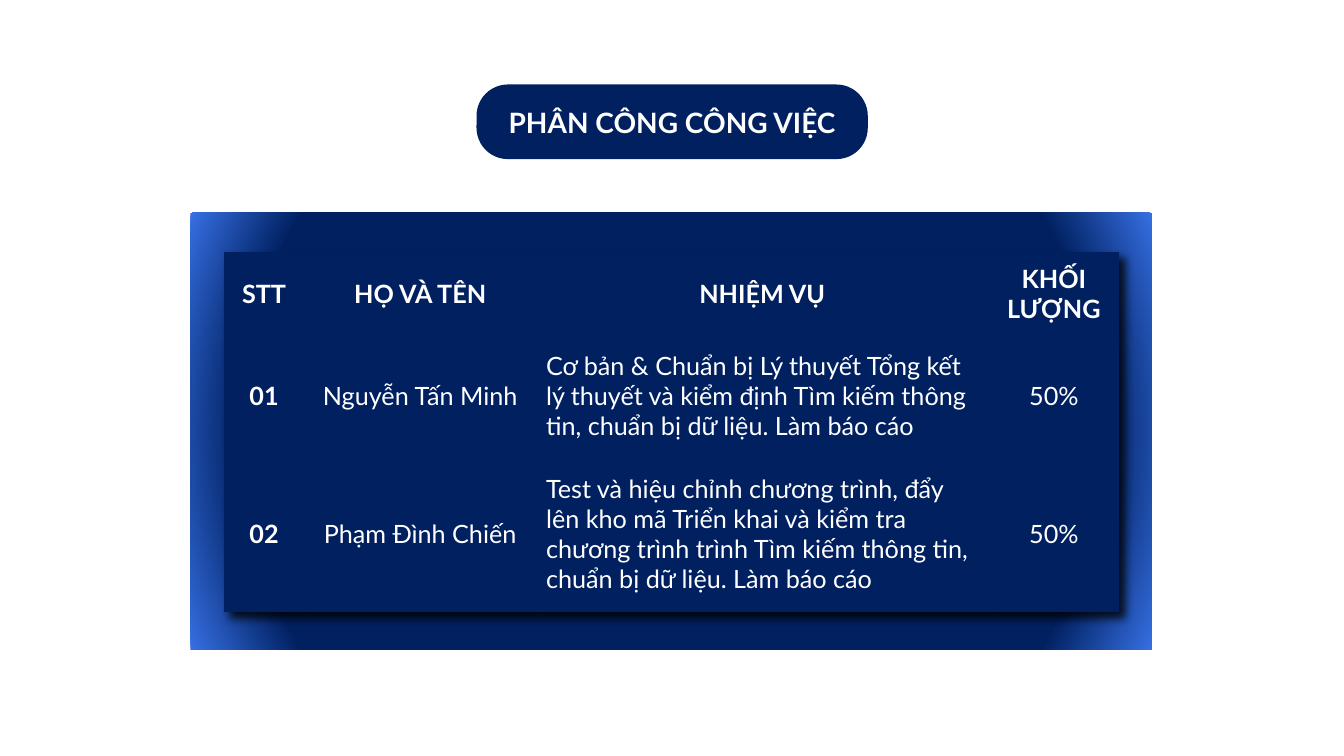
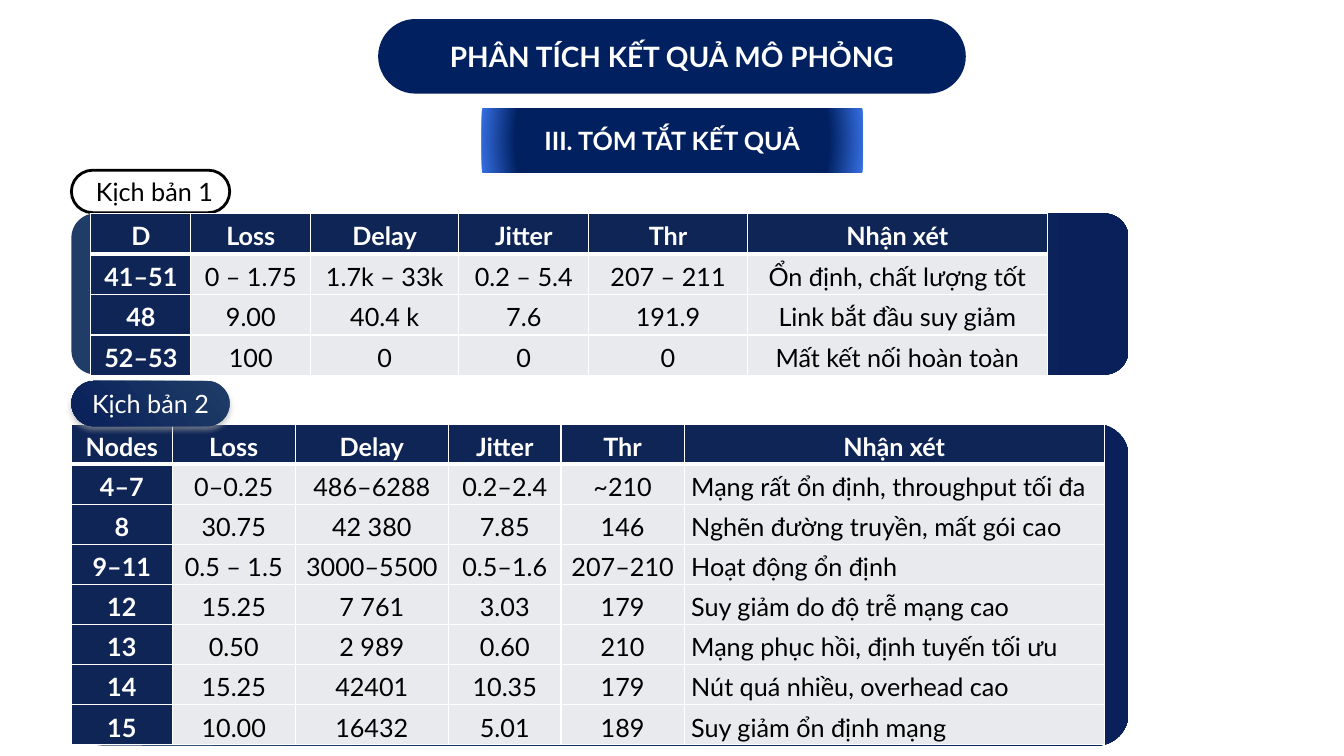
"""Build the work assignment and simulation results slides."""
from lxml import etree
from pptx import Presentation
from pptx.dml.color import RGBColor
from pptx.enum.shapes import MSO_SHAPE
from pptx.enum.text import MSO_ANCHOR, MSO_AUTO_SIZE, PP_ALIGN
from pptx.oxml.ns import qn
from pptx.util import Cm, Pt

RECT, ROUNDED = MSO_SHAPE.RECTANGLE, MSO_SHAPE.ROUNDED_RECTANGLE
LEFT, CENTER = PP_ALIGN.LEFT, PP_ALIGN.CENTER
MIDDLE = MSO_ANCHOR.MIDDLE
NO_FIT = MSO_AUTO_SIZE.NONE

FONT = "Lato"
WHITE, BLACK = "FFFFFF", "000000"
NAVY, GLOW = "002060", "3770E3"
HEADER, BODY = "0F2556", "E8EAED"
GLOW_STOPS = [(81, NAVY), (100, GLOW)]
BAND_STOPS = [(0, "1F3D67"), (100, "09205A")]
PLAIN_TABLE = "{2D5ABB26-0587-4C30-8999-92F81FD0307C}"


def rgb(value):
    """Turn a hex string into a colour."""
    return RGBColor.from_string(value)


def child(parent, tag, **attributes):
    """Append a drawing element with the given attributes."""
    return etree.SubElement(parent, qn(f"a:{tag}"),
                            {name: str(value) for name, value in attributes.items()})


def write(frame, text, size=18, color=WHITE, bold=False, align=CENTER,
          spacing=None, after=None):
    """Write one formatted paragraph into a text frame."""
    frame.word_wrap = True
    paragraph = frame.paragraphs[0]
    paragraph.alignment = align
    paragraph.line_spacing = spacing
    paragraph.space_after = after
    run = paragraph.add_run()
    run.text = text
    run.font.name, run.font.size, run.font.bold = FONT, Pt(size), bold
    run.font.color.rgb = rgb(color)


def cast_shadow(effects, color, blur, distance, angle, opacity):
    """Add an outer shadow to an effect list."""
    shadow = child(effects, "outerShdw", blurRad=Pt(blur), dist=Pt(distance),
                   dir=angle * 60000, algn="tl", rotWithShape=0)
    child(child(shadow, "srgbClr", val=color), "alpha", val=opacity * 1000)


def gradient(shape, stops, angle=None):
    """Fill a shape with a linear gradient, or a circular one without an angle."""
    properties = shape._element.spPr
    fill = etree.Element(qn("a:gradFill"), {"rotWithShape": "1"})
    stop_list = child(fill, "gsLst")
    for position, color in stops:
        child(child(stop_list, "gs", pos=position * 1000), "srgbClr", val=color)
    if angle is None:
        child(child(fill, "path", path="circle"), "fillToRect",
              l=50000, t=50000, r=50000, b=50000)
    else:
        child(fill, "lin", ang=angle * 60000, scaled=0)
    properties.find(qn("a:prstGeom")).addnext(fill)


def draw_borders(cell, bottom):
    """Draw white cell borders with the given bottom width."""
    properties = cell._tc.get_or_add_tcPr()
    for side, width in (("L", 1), ("R", 1), ("T", 1), ("B", bottom)):
        line = child(properties, f"ln{side}", w=Pt(width))
        child(child(line, "solidFill"), "srgbClr", val=WHITE)


class Deck:
    """Hold the shared style and the current slide."""

    def __init__(self):
        """Start an empty widescreen deck."""
        self.deck = Presentation()
        self.deck.slide_width, self.deck.slide_height = Cm(33.87), Cm(19.05)
        self.slide = None

    def add_slide(self, heading, box, radius):
        """Add a slide with its heading on a navy pill."""
        self.slide = self.deck.slides.add_slide(self.deck.slide_layouts[5])
        self.shape(box, radius=radius, fill=NAVY)
        title = self.slide.shapes.title
        title.left, title.top, title.width, title.height = map(Cm, box)
        self.slide.shapes._spTree.append(title._element)
        frame = title.text_frame
        frame.auto_size = NO_FIT
        frame.vertical_anchor = MIDDLE
        write(frame, heading, size=20, bold=True)

    def shape(self, box, radius=None, fill=None, stops=None, angle=None, outline=None):
        """Add a rectangle, rounded when a radius is given."""
        shape = self.slide.shapes.add_shape(RECT if radius is None else ROUNDED,
                                            *map(Cm, box))
        shape.shadow.inherit = False
        if radius is not None:
            shape.adjustments[0] = radius
        if stops:
            gradient(shape, stops, angle)
        elif fill:
            shape.fill.solid()
            shape.fill.fore_color.rgb = rgb(fill)
        else:
            shape.fill.background()
        if outline:
            shape.line.color.rgb = rgb(outline)
            shape.line.width = Pt(2)
        else:
            shape.line.fill.background()
        return shape

    def label(self, box, text, color=WHITE, bold=False, indent=0, **look):
        """Add a shape with centred text."""
        shape = self.shape(box, **look)
        frame = shape.text_frame
        frame.margin_left = Cm(indent)
        frame.margin_right = frame.margin_top = frame.margin_bottom = 0
        frame.vertical_anchor = MIDDLE
        write(frame, text, color=color, bold=bold)
        return shape

    def table(self, left, top, widths, heights, rows, left_column=None,
              gridded=True, spacing=None):
        """Add a table with a bold header row and first column."""
        frame = self.slide.shapes.add_table(
            len(rows), len(widths), Cm(left), Cm(top),
            Cm(sum(widths)), Cm(sum(heights)))
        table = frame.table
        table.first_row = table.horz_banding = False
        table._tbl.tblPr.find(qn("a:tableStyleId")).text = PLAIN_TABLE
        for column, width in zip(table.columns, widths):
            column.width = Cm(width)
        for r, (values, height) in enumerate(zip(rows, heights)):
            table.rows[r].height = Cm(height)
            for c, value in enumerate(values):
                cell = table.cell(r, c)
                leading = r == 0 or c == 0
                color, fill = WHITE, NAVY
                if gridded:
                    cell.margin_left = cell.margin_right = Cm(0.18)
                    cell.margin_top = cell.margin_bottom = 0
                    draw_borders(cell, 3 if r == 0 else 1)
                    color, fill = (WHITE, HEADER) if leading else (BLACK, BODY)
                cell.fill.solid()
                cell.fill.fore_color.rgb = rgb(fill)
                cell.vertical_anchor = MIDDLE
                write(cell.text_frame, value, color=color, bold=leading,
                      align=LEFT if r and c == left_column else CENTER,
                      spacing=spacing, after=Pt(8) if gridded else None)
        return table

    def save(self):
        """Save the deck."""
        self.deck.save("out.pptx")


ASSIGNMENTS = [
    ("STT", "HỌ VÀ TÊN", "NHIỆM VỤ", "KHỐI LƯỢNG"),
    ("01", "Nguyễn Tấn Minh",
     "Cơ bản & Chuẩn bị Lý thuyết Tổng kết lý thuyết và kiểm định "
     "Tìm kiếm thông tin, chuẩn bị dữ liệu. Làm báo cáo", "50%"),
    ("02", "Phạm Đình Chiến",
     "Test và hiệu chỉnh chương trình, đẩy lên kho mã Triển khai và kiểm tra "
     "chương trình trình Tìm kiếm thông tin, chuẩn bị dữ liệu. Làm báo cáo", "50%"),
]
METRICS = ("Loss", "Delay", "Jitter", "Thr", "Nhận xét")
DISTANCES = [
    ("D", *METRICS),
    ("41–51", "0 – 1.75", "1.7k – 33k", "0.2 – 5.4", "207 – 211",
     "Ổn định, chất lượng tốt"),
    ("48", "9.00", "40.4 k", "7.6", "191.9", "Link bắt đầu suy giảm"),
    ("52–53", "100", "0", "0", "0", "Mất kết nối hoàn toàn"),
]
NODES = [
    ("Nodes", *METRICS),
    ("4–7", "0–0.25", "486–6288", "0.2–2.4", "~210",
     "Mạng rất ổn định, throughput tối đa"),
    ("8", "30.75", "42 380", "7.85", "146", "Nghẽn đường truyền, mất gói cao"),
    ("9–11", "0.5 – 1.5", "3000–5500", "0.5–1.6", "207–210", "Hoạt động ổn định"),
    ("12", "15.25", "7 761", "3.03", "179", "Suy giảm do độ trễ mạng cao"),
    ("13", "0.50", "2 989", "0.60", "210", "Mạng phục hồi, định tuyến tối ưu"),
    ("14", "15.25", "42401", "10.35", "179", "Nút quá nhiều, overhead cao"),
    ("15", "10.00", "16432", "5.01", "189", "Suy giảm ổn định mạng"),
]


def build_assignment(deck):
    """Build the work assignment slide."""
    deck.add_slide("PHÂN CÔNG CÔNG VIỆC", (12.01, 2.13, 9.86, 1.88), 0.42)
    deck.shape((4.8, 5.36, 24.23, 11.02), stops=GLOW_STOPS)
    duties = deck.table(5.64, 6.35, (2.03, 5.84, 11.4, 3.3), (2.11, 3.02, 3.94),
                        ASSIGNMENTS, left_column=2, gridded=False)
    effects = etree.Element(qn("a:effectLst"))
    duties._tbl.tblPr.insert(0, effects)
    cast_shadow(effects, BLACK, blur=6, distance=6, angle=45, opacity=80)


def build_results(deck):
    """Build the simulation results slide."""
    deck.add_slide("PHÂN TÍCH KẾT QUẢ MÔ PHỎNG", (9.53, 0.48, 14.81, 1.88), 0.5)
    deck.label((12.14, 2.74, 9.6, 1.6), "III. TÓM TẮT KẾT QUẢ", bold=True,
               stops=GLOW_STOPS)
    deck.label((1.8, 4.29, 3.99, 1.07), "Kịch bản 1", color=BLACK, indent=0.2,
               radius=0.5, outline=BLACK)
    for top, height, radius in ((5.38, 4.06, 0.15), (10.69, 8.1, 0.1)):
        deck.shape((1.8, top, 26.64, height), radius=radius, stops=BAND_STOPS, angle=0)
    deck.table(2.29, 5.38, (2.52, 3.02, 3.73, 3.28, 3.99, 7.57),
               [1.02] * len(DISTANCES), DISTANCES, spacing=1.15)
    deck.table(1.8, 10.69, (2.54, 3.1, 3.86, 2.84, 3.1, 10.59),
               [1.01] * len(NODES), NODES, left_column=5, spacing=1.16)
    scenario = deck.label((1.8, 9.6, 3.99, 1.14), "Kịch bản 2", radius=0.5,
                          stops=BAND_STOPS, angle=140)
    effects = scenario._element.spPr.find(qn("a:effectLst"))
    cast_shadow(effects, "A6A6A6", blur=4, distance=3, angle=90, opacity=60)


def main():
    """Build and save both slides."""
    deck = Deck()
    build_assignment(deck)
    build_results(deck)
    deck.save()


if __name__ == "__main__":
    main()
